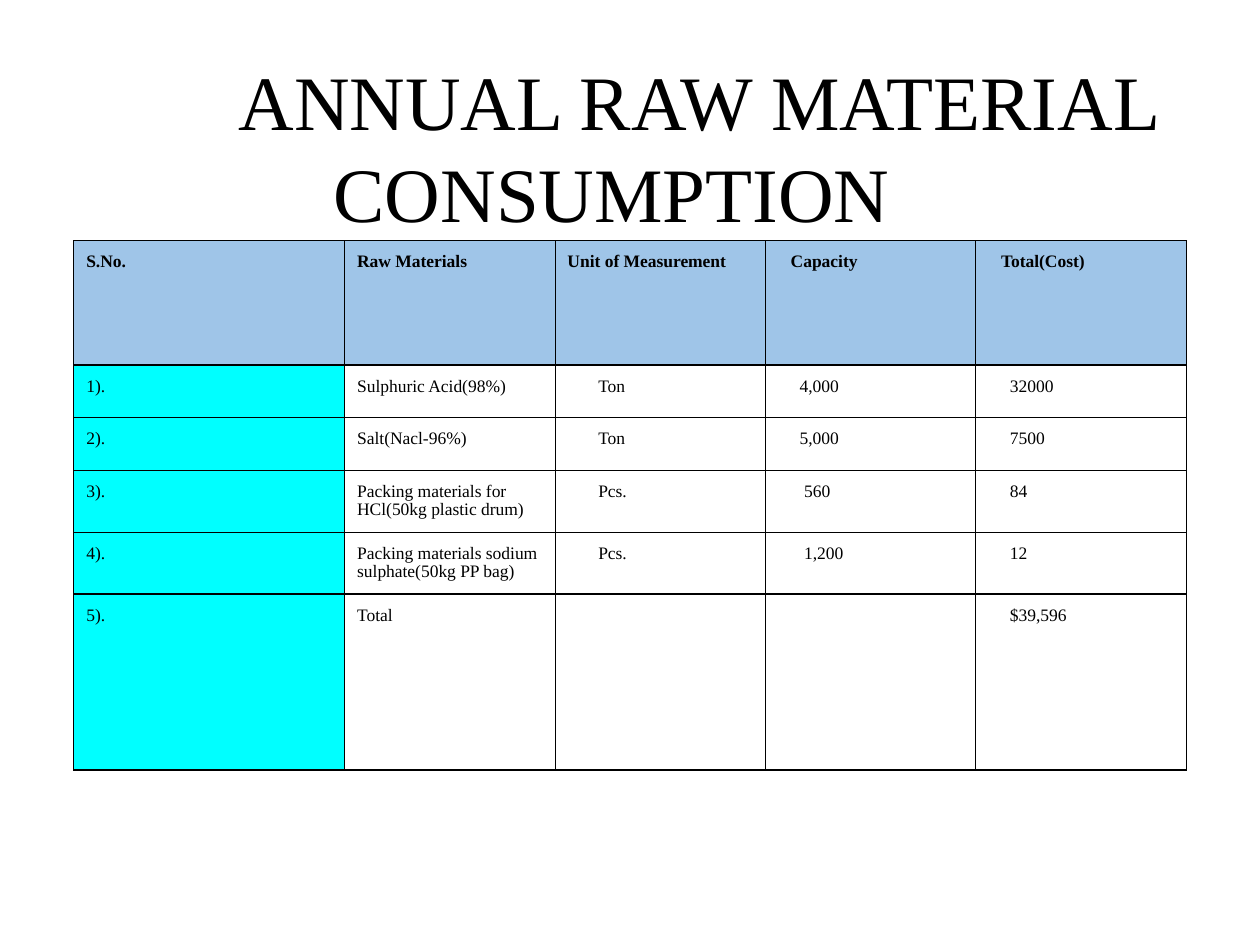
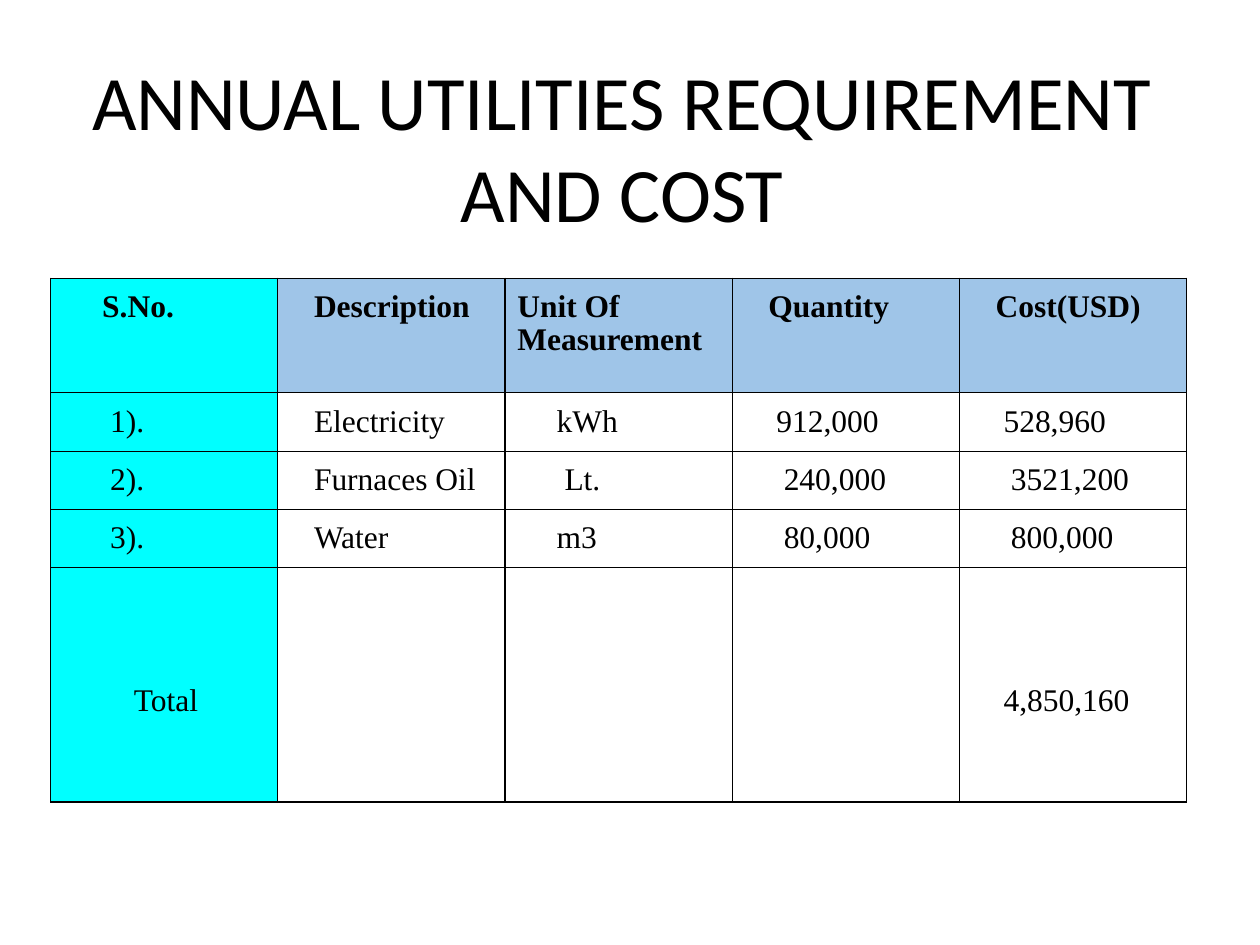
from pptx import Presentation
from pptx.dml.color import RGBColor
from pptx.enum import text
from pptx.oxml import ns, parse_xml
from pptx.util import Cm, Pt

BLACK, HEADER_BLUE, CYAN = "000000", "9FC5E8", "00FFFF"
SERIF, SANS = "Times New Roman", "Calibri"
INSET = 0.25  # cm, inside titles and cells


def colour(hex_code):
    return RGBColor.from_string(hex_code)


def style_paragraph(para, font_name, size, bold=False):
    para.font.name = font_name
    para.font.size = Pt(size)
    para.font.bold = bold
    para.font.color.rgb = colour(BLACK)


def add_title(page, wording, left, font_name, first_indent=0):
    """Centred title, hung from the top of its box."""
    title = page.shapes.title
    title.left, title.top = Cm(left), Cm(0.74)
    title.width, title.height = Cm(23.67), Cm(1.6)
    frame = title.text_frame
    frame.text = wording
    frame.word_wrap = True
    frame.auto_size = text.MSO_AUTO_SIZE.NONE
    frame.vertical_anchor = text.MSO_ANCHOR.TOP
    frame.margin_left = frame.margin_right = frame.margin_bottom = Cm(INSET)
    frame.margin_top = Cm(0.33)
    para = frame.paragraphs[0]
    para.alignment = text.PP_ALIGN.CENTER
    para.line_spacing = Pt(52.8)
    style_paragraph(para, font_name, 44)
    if first_indent:
        properties = para._p.get_or_add_pPr()
        properties.set("marL", "0")
        properties.set("indent", str(Cm(first_indent)))


def add_borders(cell):
    """Thin black line on all four sides; lines come before the fill."""
    properties = cell._tc.get_or_add_tcPr()
    for position, side in enumerate(("lnL", "lnR", "lnT", "lnB")):
        properties.insert(position, parse_xml(
            f'<a:{side} {ns.nsdecls("a")} w="{Pt(0.75)}"><a:solidFill>'
            f'<a:srgbClr val="{BLACK}"/></a:solidFill></a:{side}>'))


def fill_cell(cell, content, fill, size, bold, drop):
    """Content is a wording, or a wording with its indent in cm."""
    wording, indent = content if isinstance(content, tuple) else (content, 0)
    cell.margin_left = Cm(INSET + indent)
    cell.margin_right = cell.margin_bottom = Cm(INSET)
    cell.margin_top = Cm(INSET + drop)
    cell.text = wording
    para = cell.text_frame.paragraphs[0]
    para.line_spacing = 0.96
    style_paragraph(para, SERIF, size, bold)
    if fill:
        cell.fill.solid()
        cell.fill.fore_color.rgb = colour(fill)
    else:
        cell.fill.background()
    add_borders(cell)


def add_cost_table(page, left, top, widths, heights, rows, size,
                   corner_fill, total_drop=0):
    """Blue header row, cyan number column; total_drop lowers the last row."""
    frame = page.shapes.add_table(len(rows), len(widths), Cm(left), Cm(top),
                                  Cm(sum(widths)), Cm(sum(heights)))
    table = frame.table
    table.first_row = table.horz_banding = False
    for column, width in zip(table.columns, widths):
        column.width = Cm(width)
    for r, (row, height) in enumerate(zip(rows, heights)):
        table.rows[r].height = Cm(height)
        drop = total_drop if r == len(rows) - 1 else 0
        for c, content in enumerate(row):
            if r == 0:
                fill = HEADER_BLUE if c else corner_fill
            else:
                fill = None if c else CYAN
            fill_cell(table.cell(r, c), content, fill, size, r == 0,
                      drop if content else 0)


def raw_material_page(page):
    add_title(page, "ANNUAL RAW MATERIAL CONSUMPTION", 0.5, SERIF, first_indent=3.49)
    unit, figure, shifted = 0.62, 0.44, 0.53  # indents
    rows = [
        ["S.No.", "Raw Materials", "Unit of Measurement",
         ("Capacity", 0.26), ("Total(Cost)", 0.26)],
        ["1).", "Sulphuric Acid(98%)", ("Ton", unit),
         ("4,000", figure), ("32000", figure)],
        ["2).", "Salt(Nacl-96%)", ("Ton", unit),
         ("5,000", figure), ("7500", figure)],
        ["3).", "Packing materials for HCl(50kg plastic drum)", ("Pcs.", unit),
         ("560", shifted), ("84", figure)],
        ["4).", "Packing materials sodium sulphate(50kg PP bag)", ("Pcs.", unit),
         ("1,200", shifted), ("12", figure)],
        ["5).", "Total", "", "", ("$39,596", figure)],
    ]
    add_cost_table(page, 1.49, 4.85, [5.46] + [4.24] * 4,
                   [2.51] + [1.06] * 4 + [3.55], rows, 10, HEADER_BLUE)


def utilities_page(page):
    add_title(page, "ANNUAL UTILITIES REQUIREMENT AND COST", 0.71, SANS)
    name, near, middle, far = 0.48, 0.64, 0.79, 0.95  # indents
    rows = [
        [("S.No.", middle), ("Description", name), "Unit Of Measurement",
         ("Quantity", name), ("Cost(USD)", name)],
        [("1).", far), ("Electricity", name), ("kWh", middle),
         ("912,000", near), ("528,960", near)],
        [("2).", far), ("Furnaces Oil", name), ("Lt.", far),
         ("240,000", middle), ("3521,200", middle)],
        [("3).", far), ("Water", name), ("m3", middle),
         ("80,000", middle), ("800,000", middle)],
        [("Total", 1.43), "", "", "", ("4,850,160", near)],
    ]
    add_cost_table(page, 1.02, 5.61, [4.58] * 5,
                   [2.31] + [1.06] * 3 + [4.72], rows, 18, CYAN, total_drop=2.1)


def main():
    deck = Presentation()
    deck.slide_width, deck.slide_height = Cm(25.4), Cm(19.05)
    title_only = deck.slide_layouts[5]
    for build_page in (raw_material_page, utilities_page):
        build_page(deck.slides.add_slide(title_only))
    deck.save("out.pptx")


if __name__ == "__main__":
    main()
